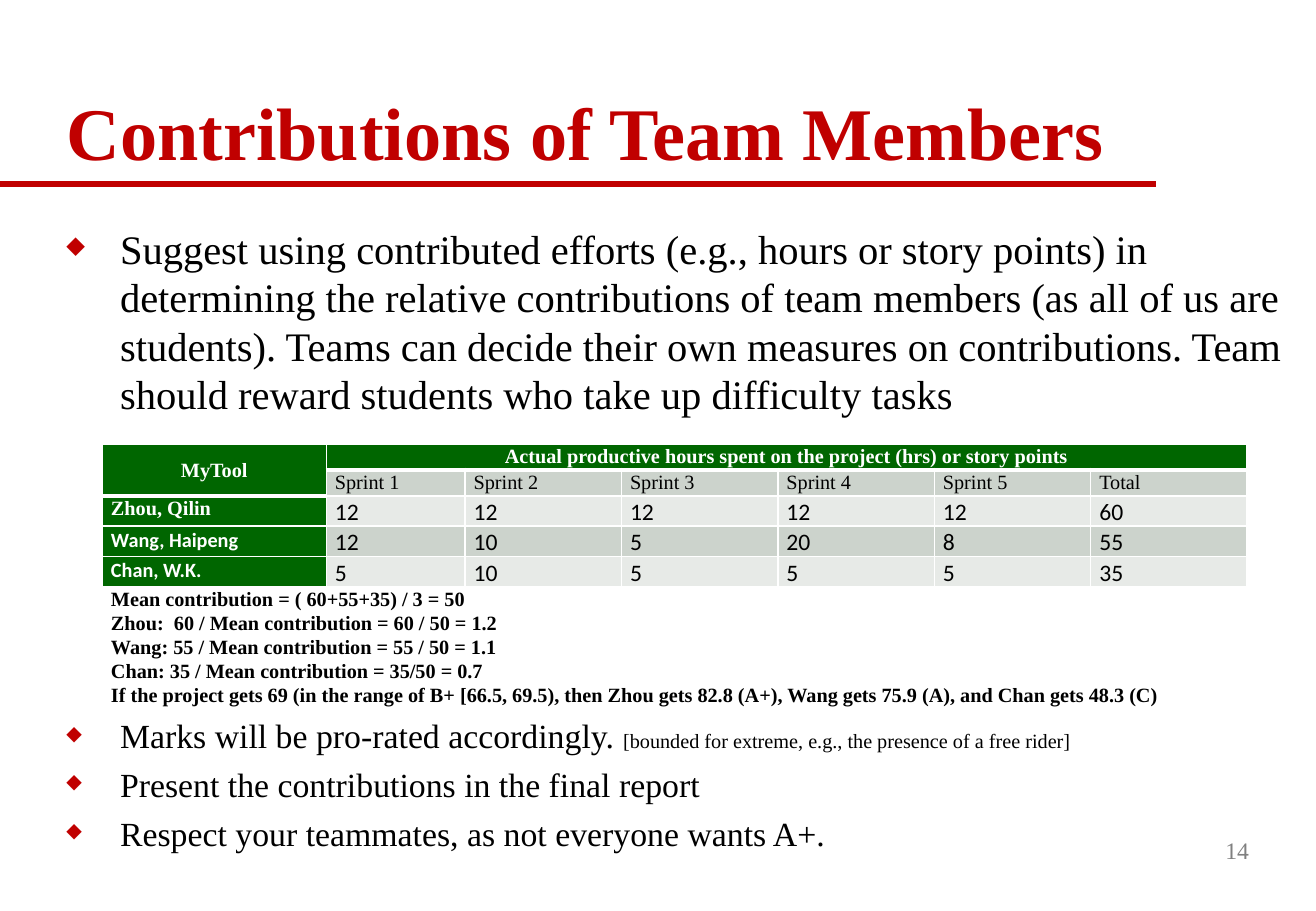
from dataclasses import dataclass

from lxml import etree
from pptx import Presentation
from pptx import util as u
from pptx.dml.color import RGBColor
from pptx.enum import shapes, text
from pptx.oxml.ns import qn


@dataclass(frozen=True)
class Theme:
    red: str = "C00000"
    green: str = "006600"
    dark: str = "CCD3CC"
    light: str = "E7EAE7"
    white: str = "FFFFFF"
    black: str = "000000"
    gray: str = "808080"
    serif: str = "Times New Roman"
    sans: str = "Calibri"
    title: int = 44
    lead: int = 24
    point: int = 20
    value: int = 14
    small: int = 12


class Deck:
    def __init__(self, theme, slide):
        self.theme = theme
        self.slide = slide

    def font(self, run, size, color, bold=False, face=None):
        run.font.size = u.Pt(size)
        run.font.bold = bold
        run.font.name = face or self.theme.serif
        run.font.color.rgb = RGBColor.from_string(color)

    def box(self, x, y, w, h, words, size, color, bold=False):
        shape = self.slide.shapes.add_textbox(u.Cm(x), u.Cm(y), u.Cm(w), u.Cm(h))
        frame = shape.text_frame
        frame.word_wrap = True
        frame.text = words
        for para in frame.paragraphs:
            for run in para.runs:
                self.font(run, size, color, bold)
        return frame

    def bullets(self, x, y, w, h, items, size):
        frame = self.box(x, y, w, h, "\n".join(items), size, self.theme.black)
        for para in frame.paragraphs:
            para.space_before = u.Pt(size * 0.24)
            props = para._p.get_or_add_pPr()
            props.set("marL", str(u.Cm(1.12)))
            props.set("indent", str(u.Cm(-1.12)))
            color = etree.SubElement(props, qn("a:buClr"))
            etree.SubElement(color, qn("a:srgbClr"), val=self.theme.red)
            etree.SubElement(props, qn("a:buSzPct"), val="60000")
            etree.SubElement(props, qn("a:buChar"), char="◆")
        return frame

    def rule(self, x, y, end, width):
        line = self.slide.shapes.add_connector(
            shapes.MSO_CONNECTOR.STRAIGHT, u.Cm(x), u.Cm(y), u.Cm(end), u.Cm(y))
        line.line.color.rgb = RGBColor.from_string(self.theme.red)
        line.line.width = u.Pt(width)
        etree.SubElement(line._element.spPr, qn("a:effectLst"))

    def border(self, cell, base):
        props = cell._tc.get_or_add_tcPr()
        for side in "LRTB":
            width = base if side == "B" else 1
            line = etree.SubElement(props, qn("a:ln" + side), w=str(u.Pt(width)))
            fill = etree.SubElement(line, qn("a:solidFill"))
            etree.SubElement(fill, qn("a:srgbClr"), val=self.theme.white)

    def cell(self, cell, words, fill, size, color, bold, face, base):
        cell.margin_left = cell.margin_right = u.Cm(0.18)
        cell.margin_top = cell.margin_bottom = 0
        self.border(cell, base)
        cell.fill.solid()
        cell.fill.fore_color.rgb = RGBColor.from_string(fill)
        cell.text_frame.text = words
        for para in cell.text_frame.paragraphs:
            para.line_spacing = 1.07
            for run in para.runs:
                self.font(run, size, color, bold, face)

    def look(self, row, col):
        t = self.theme
        if row == 5:
            return t.white, t.small, t.black, True, t.serif, 1
        if row == 0 or col == 0:
            face = t.sans if row > 2 else t.serif
            return t.green, t.small, t.white, True, face, 3 if row < 2 else 1
        if row == 1:
            return t.dark, t.small, t.black, False, t.serif, 1
        fill = t.dark if row % 2 else t.light
        return fill, t.value, t.black, False, t.sans, 1

    def table(self, x, y, cols, rows, data):
        grid = self.slide.shapes.add_table(
            len(rows), len(cols), u.Cm(x), u.Cm(y),
            u.Cm(sum(cols)), u.Cm(sum(rows))).table
        for col, width in zip(grid.columns, cols):
            col.width = u.Cm(width)
        for row, height in zip(grid.rows, rows):
            row.height = u.Cm(height)
        for r, line in enumerate(data):
            for c in range(len(cols)):
                words = line[c] if c < len(line) else ""
                self.cell(grid.cell(r, c), words, *self.look(r, c))
        return grid


def main():
    theme = Theme()
    show = Presentation()
    show.slide_width, show.slide_height = u.Cm(27.51), u.Cm(19.05)
    deck = Deck(theme, show.slides.add_slide(show.slide_layouts[6]))

    deck.rule(0, 3.85, 24.16, 4)
    title = deck.box(1.14, 0.74, 25.1, 3.07, "Contributions of Team Members",
                     theme.title, theme.red, True)
    title.vertical_anchor = text.MSO_ANCHOR.BOTTOM
    title.paragraphs[0].line_spacing = 0.9

    deck.bullets(1.14, 4.55, 26.16, 4.5, [
        "Suggest using contributed efforts (e.g., hours or story points) in "
        "determining the relative contributions of team members (as all of us "
        "are students). Teams can decide their own measures on contributions. "
        "Team should reward students who take up difficulty tasks"], theme.lead)

    sums = "\n".join([
        "Mean contribution = ( 60+55+35) / 3 = 50",
        "Zhou:  60 / Mean contribution = 60 / 50 = 1.2",
        "Wang: 55 / Mean contribution = 55 / 50 = 1.1",
        "Chan: 35 / Mean contribution = 35/50 = 0.7",
        "If the project gets 69 (in the range of B+ [66.5, 69.5), then Zhou gets "
        "82.8 (A+), Wang gets 75.9 (A), and Chan gets 48.3 (C)"])
    grid = deck.table(
        2.14, 9.28, [4.68, 2.9] + [3.27] * 5, [0.46] * 2 + [0.53] * 3 + [2.41], [
            ["MyTool",
             "Actual productive hours spent on the project (hrs) or story points"],
            ["", *(f"Sprint {n}" for n in range(1, 6)), "Total"],
            ["Zhou, Qilin", "12", "12", "12", "12", "12", "60"],
            ["Wang, Haipeng", "12", "10", "5", "20", "8", "55"],
            ["Chan, W.K.", "5", "10", "5", "5", "5", "35"],
            [sums]])
    grid.cell(0, 0).merge(grid.cell(1, 0))
    grid.cell(0, 1).merge(grid.cell(0, 6))
    grid.cell(5, 0).merge(grid.cell(5, 6))
    grid.cell(0, 0).vertical_anchor = text.MSO_ANCHOR.MIDDLE
    for col in (0, 1):
        grid.cell(0, col).text_frame.paragraphs[0].alignment = text.PP_ALIGN.CENTER

    points = deck.bullets(1.14, 14.83, 26.16, 3.4, [
        "Marks will be pro-rated accordingly. ",
        "Present the contributions in the final report",
        "Respect your teammates, as not everyone wants A+."], theme.point)
    note = points.paragraphs[0].add_run()
    note.text = "[bounded for extreme, e.g., the presence of a free rider]"
    deck.font(note, theme.small, theme.black)

    page = deck.box(20.62, 17.15, 5.74, 1.27, "14", theme.value, theme.gray)
    page.vertical_anchor = text.MSO_ANCHOR.MIDDLE
    page.paragraphs[0].alignment = text.PP_ALIGN.RIGHT

    show.save("out.pptx")


if __name__ == "__main__":
    main()
